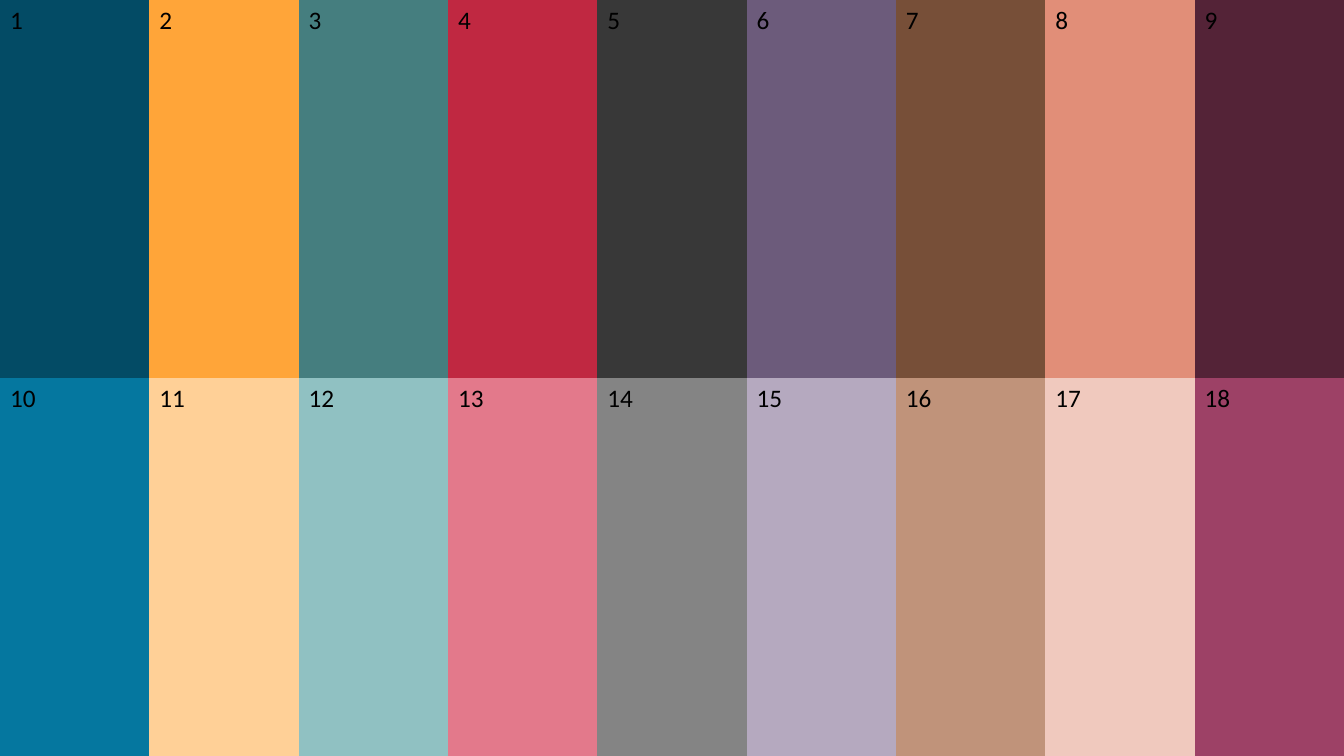
"""Build a slide with a numbered colour palette in a full-page table."""
from lxml import etree
from pptx import Presentation
from pptx import util as u
from pptx.dml.color import RGBColor
from pptx.oxml.ns import qn

PALETTE = [
    ["034B65", "FFA539", "457E7F", "C02841", "383838", "6C5B7B", "774F38", "E18E78", "542337"],
    ["05779F", "FFD097", "90C1C2", "E3798B", "848484", "B5A9BF", "C0937A", "F0C9BE", "9D4166"],
]
SWATCHES = [[RGBColor.from_string(code) for code in row] for row in PALETTE]
BLACK = RGBColor(0x00, 0x00, 0x00)
FONT = "Calibri"
SIZE = u.Pt(18)
WIDTH, HEIGHT = u.Cm(33.87), u.Cm(19.05)
NO_STYLE_NO_GRID = "{2D5ABB26-0587-4C30-8999-92F81FD0307C}"


def hide_borders(cell):
    tc_pr = cell._tc.get_or_add_tcPr()
    for i, side in enumerate(("a:lnL", "a:lnR", "a:lnT", "a:lnB")):
        ln = etree.Element(qn(side), w="0")
        etree.SubElement(ln, qn("a:noFill"))
        tc_pr.insert(i, ln)


def fill_swatch(cell, number, color):
    cell.fill.solid()
    cell.fill.fore_color.rgb = color
    hide_borders(cell)
    cell.text_frame.text = str(number)
    font = cell.text_frame.paragraphs[0].runs[0].font
    font.name, font.size, font.color.rgb = FONT, SIZE, BLACK


def main():
    prs = Presentation()
    prs.slide_width, prs.slide_height = WIDTH, HEIGHT
    s = prs.slides.add_slide(prs.slide_layouts[6])
    rows, cols = len(SWATCHES), len(SWATCHES[0])
    table = s.shapes.add_table(rows, cols, 0, 0, WIDTH, HEIGHT).table
    table.first_row = table.horz_banding = False
    table._tbl.tblPr.find(qn("a:tableStyleId")).text = NO_STYLE_NO_GRID
    for r, row in enumerate(SWATCHES):
        for c, color in enumerate(row):
            fill_swatch(table.cell(r, c), r * cols + c + 1, color)
    prs.save("out.pptx")


if __name__ == "__main__":
    main()
